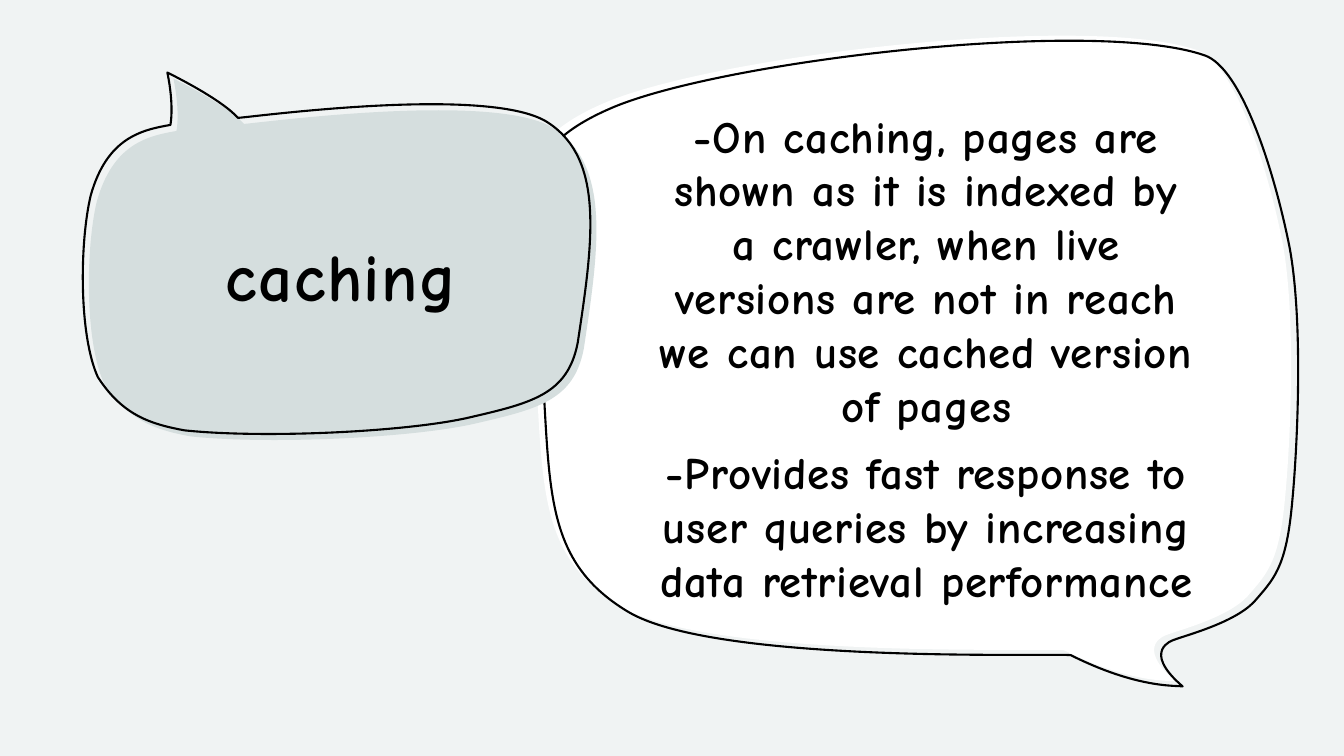
from dataclasses import dataclass

from lxml import etree
from pptx import Presentation
from pptx.dml.color import RGBColor
from pptx.enum.text import MSO_ANCHOR, PP_ALIGN
from pptx.oxml.ns import qn
from pptx.util import Inches, Pt

MIDDLE = MSO_ANCHOR.MIDDLE
CENTER = PP_ALIGN.CENTER
FONT = "Comic Neue"
BACKGROUND = "F0F3F3"
INK = "000000"

Point = tuple[float, float]
Curve = tuple[Point, Point, Point]


@dataclass(frozen=True)
class Bubble:
    """A speech bubble: an outline, and a fill shifted away from it."""
    fill: str
    fill_shift: Point
    start: Point
    curves: tuple[Curve, ...]


@dataclass(frozen=True)
class Caption:
    left: float
    top: float
    width: float
    height: float
    size: float
    letter_spacing: float
    paragraphs: tuple[str, ...]


ANSWER_BUBBLE = Bubble("FFFFFF", (-0.07, -0.05), (11.64, 6.35), (
    ((11.77, 6.3), (12.24, 6.18), (12.44, 5.97)),
    ((12.63, 5.75), (12.75, 5.64), (12.81, 5.05)),
    ((12.87, 4.47), (12.93, 3.2), (12.79, 2.45)),
    ((12.64, 1.7), (12.32, 0.68), (11.95, 0.55)),
    ((10.86, 0.17), (7.17, 0.6), (6.07, 1.07)),
    ((4.97, 1.54), (5.27, 2.11), (5.36, 3.36)),
    ((5.47, 4.79), (5.35, 5.54), (6.23, 6.07)),
    ((7.1, 6.59), (10.39, 6.48), (10.62, 6.5)),
    ((11.28, 6.83), (11.66, 6.8), (11.73, 6.81)),
    ((11.31, 6.45), (11.64, 6.35), (11.64, 6.35)),
))
TOPIC_BUBBLE = Bubble("D5DEDE", (0.06, 0.06), (1.66, 0.72), (
    ((1.74, 0.76), (2.2, 0.99), (2.36, 1.17)),
    ((2.52, 1.16), (4.88, 0.84), (5.44, 1.22)),
    ((6, 1.59), (5.88, 2.41), (5.73, 3.4)),
    ((5.63, 3.92), (5.27, 4), (4.62, 4.15)),
    ((3.97, 4.29), (2.59, 4.35), (1.83, 4.27)),
    ((1.51, 4.21), (1.22, 4.13), (0.97, 3.74)),
    ((0.78, 3.32), (0.79, 2.4), (0.9, 1.94)),
    ((1.06, 1.37), (1.4, 1.29), (1.69, 1.24)),
    ((1.69, 1.24), (1.73, 1.06), (1.66, 0.72)),
))
TOPIC = Caption(1.34, 1.58, 4.09, 2.28, 48, 1, ("caching",))
ANSWER = Caption(6.4, 1.24, 5.58, 4.61, 32, 0.5, (
    "-On caching, pages are shown as it is indexed by a crawler, when live "
    "versions are not in reach we can use cached version of pages",
    "-Provides fast response to user queries by increasing data retrieval "
    "performance",
))


def color(value: str) -> RGBColor:
    return RGBColor.from_string(value)


def draw_curves(slide, bubble: Bubble, shift: Point = (0, 0)):
    """Build a polygon on all control points, then turn its sides into curves."""
    def place(point: Point) -> tuple[int, int]:
        return Inches(point[0] + shift[0]), Inches(point[1] + shift[1])

    builder = slide.shapes.build_freeform(*place(bubble.start))
    builder.add_line_segments(
        [place(point) for curve in bubble.curves for point in curve])
    shape = builder.convert_to_shape()
    shape.shadow.inherit = False

    sides = list(shape._element.iter(qn("a:lnTo")))
    for first, second, third in zip(sides[::3], sides[1::3], sides[2::3]):
        bezier = etree.Element(qn("a:cubicBezTo"))
        first.addprevious(bezier)
        for side in (first, second, third):
            bezier.append(side[0])
            side.getparent().remove(side)
    return shape


def draw_fill(slide, bubble: Bubble) -> None:
    shape = draw_curves(slide, bubble, bubble.fill_shift)
    shape.fill.solid()
    shape.fill.fore_color.rgb = color(bubble.fill)
    shape.line.fill.background()


def draw_outline(slide, bubble: Bubble) -> None:
    shape = draw_curves(slide, bubble)
    shape.fill.background()
    shape.line.color.rgb = color(INK)
    shape.line.width = Pt(1.5)


def draw_caption(slide, caption: Caption) -> None:
    box = slide.shapes.add_textbox(
        Inches(caption.left), Inches(caption.top),
        Inches(caption.width), Inches(caption.height))
    frame = box.text_frame
    frame.word_wrap = True
    frame.vertical_anchor = MIDDLE
    for index, text in enumerate(caption.paragraphs):
        paragraph = frame.add_paragraph() if index else frame.paragraphs[0]
        paragraph.alignment = CENTER
        if index:
            paragraph.space_before = Pt(10)
        run = paragraph.add_run()
        run.text = text
        run.font.name = FONT
        run.font.size = Pt(caption.size)
        run.font.bold = True
        run.font.color.rgb = color(INK)
        run.font._element.set("spc", str(round(caption.letter_spacing * 100)))


def main() -> None:
    presentation = Presentation()
    presentation.slide_width = Inches(13.33)
    presentation.slide_height = Inches(7.5)
    slide = presentation.slides.add_slide(presentation.slide_layouts[6])
    slide.background.fill.solid()
    slide.background.fill.fore_color.rgb = color(BACKGROUND)

    for bubble, caption in ((ANSWER_BUBBLE, ANSWER), (TOPIC_BUBBLE, TOPIC)):
        draw_fill(slide, bubble)
        draw_outline(slide, bubble)
        draw_caption(slide, caption)
    presentation.save("out.pptx")


if __name__ == "__main__":
    main()
